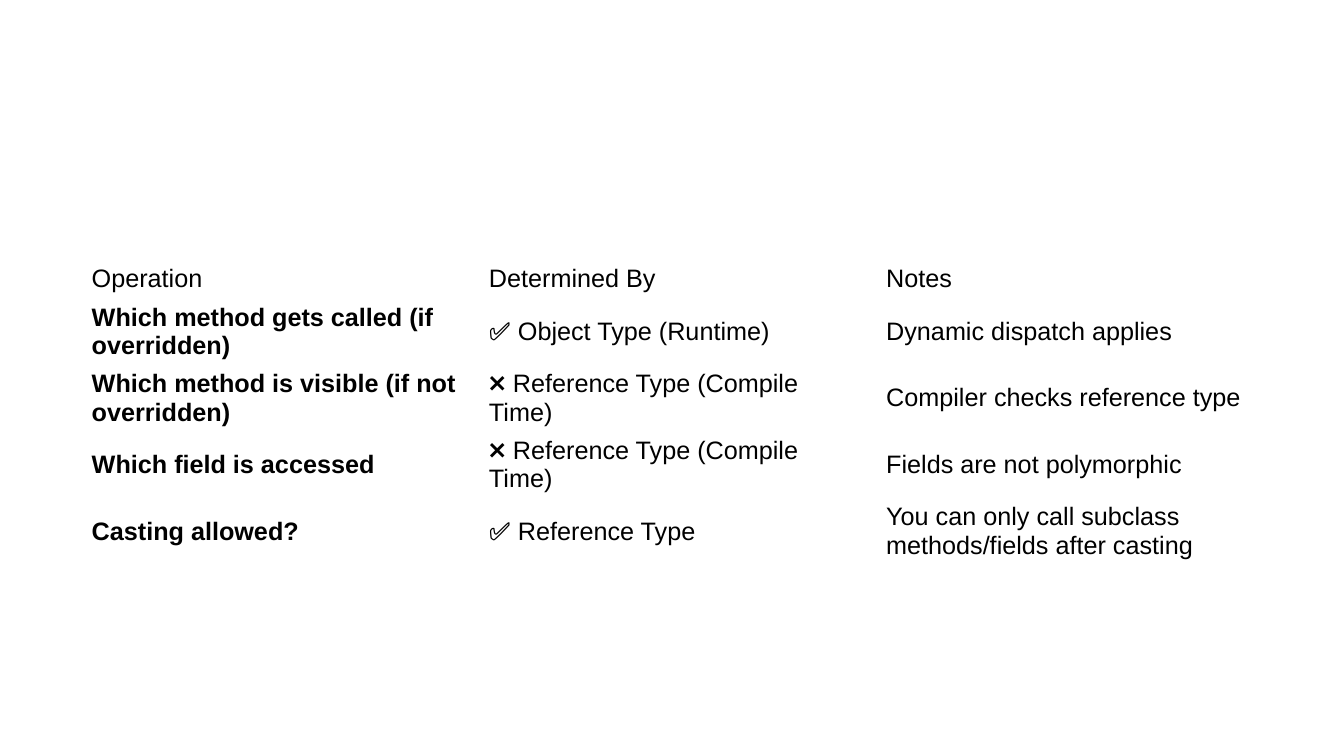
from pptx import Presentation
from pptx.dml.color import RGBColor
from pptx.enum.text import MSO_ANCHOR as Anchor
from pptx.util import Inches, Pt

COLORS = {"text": "000000"}
ROWS = [
    ("Operation", "Determined By", "Notes"),
    ("Which method gets called (if overridden)", "✅ Object Type (Runtime)",
     "Dynamic dispatch applies"),
    ("Which method is visible (if not overridden)", "❌ Reference Type (Compile Time)",
     "Compiler checks reference type"),
    ("Which field is accessed", "❌ Reference Type (Compile Time)",
     "Fields are not polymorphic"),
    ("Casting allowed?", "✅ Reference Type",
     "You can only call subclass methods/fields after casting"),
]
COL_W, ROW_H = 3.94, 0.25


def write(cell, text, size=18, bold=False, color="text"):
    cell.fill.background()
    cell.vertical_anchor = Anchor.MIDDLE
    para = cell.text_frame.paragraphs[0]
    run = para.add_run()
    run.text = text
    run.font.name = "Arial"
    run.font.size = Pt(size)
    run.font.bold = bold
    run.font.color.rgb = RGBColor.from_string(COLORS[color])


prs = Presentation()
prs.slide_width, prs.slide_height = Inches(13.33), Inches(7.5)
slide = prs.slides.add_slide(prs.slide_layouts[6])

frame = slide.shapes.add_table(
    len(ROWS), len(ROWS[0]), Inches(0.81), Inches(2.58),
    Inches(COL_W * len(ROWS[0])), Inches(ROW_H * len(ROWS)))
table = frame.table
table.first_row = False
table.horz_banding = False

for r, texts in enumerate(ROWS):
    for c, text in enumerate(texts):
        write(table.cell(r, c), text, bold=r > 0 and c == 0)

prs.save("out.pptx")
